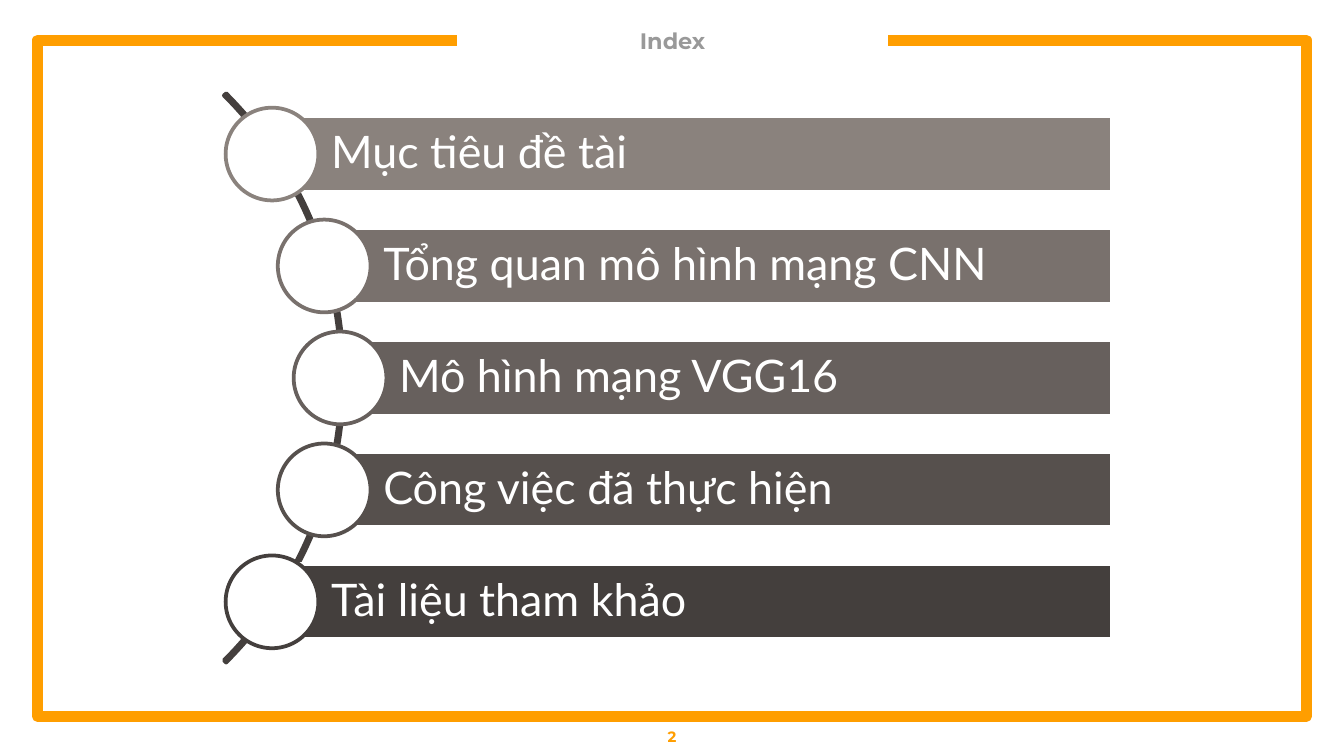
"""Build an index slide with five bars strung along an arc."""
from dataclasses import dataclass
from math import sqrt
from typing import Any, NamedTuple

from pptx import Presentation as Deck
from pptx.dml.color import RGBColor as Rgb
from pptx.enum.shapes import MSO_SHAPE as Kind
from pptx.enum.text import MSO_ANCHOR as Anchor, MSO_AUTO_SIZE as Fit, PP_ALIGN as Align
from pptx.util import Inches, Pt


@dataclass(frozen=True)
class Theme:
    gold: str = "FF9E00"
    gray: str = "999999"
    white: str = "FFFFFF"
    dark: str = "443F3D"
    head: str = "Montserrat"
    body: str = "Lato"
    title: float = 12
    item: float = 24
    page: float = 8
    thin: float = 2
    thick: float = 6


class Box(NamedTuple):
    x: float
    y: float
    w: float
    h: float


class Item(NamedTuple):
    text: str
    color: str


THEME = Theme()
COLS, ROWS = 100, 56.25
RIGHT, BAR, DOT = 82.7, 5.6, 6.9
MID, STEP, RAD, HUB = 28.12, 8.33, 29.95, -4.35
ITEMS = [
    Item("Mục tiêu đề tài", "8A827D"),
    Item("Tổng quan mô hình mạng CNN", "79716D"),
    Item("Mô hình mạng VGG16", "67605D"),
    Item("Công việc đã thực hiện", "56504D"),
    Item("Tài liệu tham khảo", THEME.dark),
]


def grid(n: float) -> int:
    """Turn grid cells of a tenth of an inch into a length."""
    return Inches(n / 10)


def apply(obj: Any, form: dict[str, Any]) -> None:
    """Set each format value on an object."""
    for key, val in form.items():
        setattr(obj, key, val)


def place(shape: Any, box: Box) -> None:
    """Move a shape to a box on the grid."""
    apply(shape, dict(zip(("left", "top", "width", "height"), map(grid, box))))


def paint(shape: Any, fill: str | None, line: str, width: float) -> None:
    """Give a shape its fill and line without a shadow."""
    shape.shadow.inherit = False
    if fill:
        shape.fill.solid()
        shape.fill.fore_color.rgb = Rgb.from_string(fill)
    else:
        shape.fill.background()
    shape.line.color.rgb = Rgb.from_string(line)
    shape.line.width = Pt(width)


def write(shape: Any, text: str, color: str, font: dict[str, Any],
          para: dict[str, Any], pads: tuple[float, ...]) -> None:
    """Fill a shape with one formatted paragraph."""
    frame = shape.text_frame
    sides = ("margin_left", "margin_top", "margin_right", "margin_bottom")
    apply(frame, {"word_wrap": True, "auto_size": Fit.NONE,
                  "vertical_anchor": Anchor.MIDDLE, **dict(zip(sides, map(grid, pads)))})
    frame.text = text
    line = frame.paragraphs[0]
    apply(line, para)
    run = line.runs[0]
    apply(run.font, font)
    run.font.color.rgb = Rgb.from_string(color)


def border(slide: Any) -> None:
    """Draw the open frame around the slide."""
    left, right, top, low = 2.8, 97.2, 3, 53.3
    pen = slide.shapes.build_freeform(grid(34), grid(top))
    spots = [(left, top), (left, low), (right, low), (right, top), (66.1, top)]
    pen.add_line_segments([(grid(x), grid(y)) for x, y in spots], close=False)
    paint(pen.convert_to_shape(), None, THEME.gold, THEME.thick)


def shape(slide: Any, kind: Kind, box: Box, fill: str | None, line: str) -> Any:
    """Add a painted preset shape."""
    made = slide.shapes.add_shape(kind, *map(grid, box))
    paint(made, fill, line, THEME.thin)
    return made


def arc(slide: Any) -> None:
    """Draw the arc that joins the dots."""
    box = Box(HUB - RAD, MID - RAD, 2 * RAD, 2 * RAD)
    curve = shape(slide, Kind.BLOCK_ARC, box, None, THEME.dark)
    for i, val in enumerate((189, 27, 0.004)):
        curve.adjustments[i] = val


def entry(slide: Any, i: int, item: Item) -> None:
    """Draw one bar with its dot on the arc."""
    rise = (i - len(ITEMS) // 2) * STEP
    x, y = HUB + sqrt(RAD**2 - rise**2) - 0.3, MID + rise
    bar = shape(slide, Kind.RECTANGLE, Box(x, y - BAR / 2, RIGHT - x, BAR),
                item.color, THEME.white)
    write(bar, item.text, THEME.white,
          {"name": THEME.body, "size": Pt(THEME.item), "bold": False},
          {"alignment": Align.LEFT, "line_spacing": 0.9}, (4.4, 0.7, 0.7, 0.7))
    shape(slide, Kind.OVAL, Box(x - DOT / 2, y - DOT / 2, DOT, DOT),
          THEME.white, item.color)


def main() -> None:
    """Build and save the slide."""
    deck = Deck()
    apply(deck, {"slide_width": grid(COLS), "slide_height": grid(ROWS)})
    slide = deck.slides.add_slide(deck.slide_layouts[5])
    border(slide)
    title = slide.shapes.title
    place(title, Box(35.5, 1.1, 29.1, 3.9))
    page = slide.shapes.add_textbox(*map(grid, Box(0, 53.3, COLS, 3)))
    for spot, text, color, size, pad in (
        (title, "Index", THEME.gray, THEME.title, 0),
        (page, "2", THEME.gold, THEME.page, 1),
    ):
        write(spot, text, color, {"name": THEME.head, "size": Pt(size), "bold": True},
              {"alignment": Align.CENTER}, (pad,) * 4)
    arc(slide)
    for i, item in enumerate(ITEMS):
        entry(slide, i, item)
    deck.save("out.pptx")


main()
